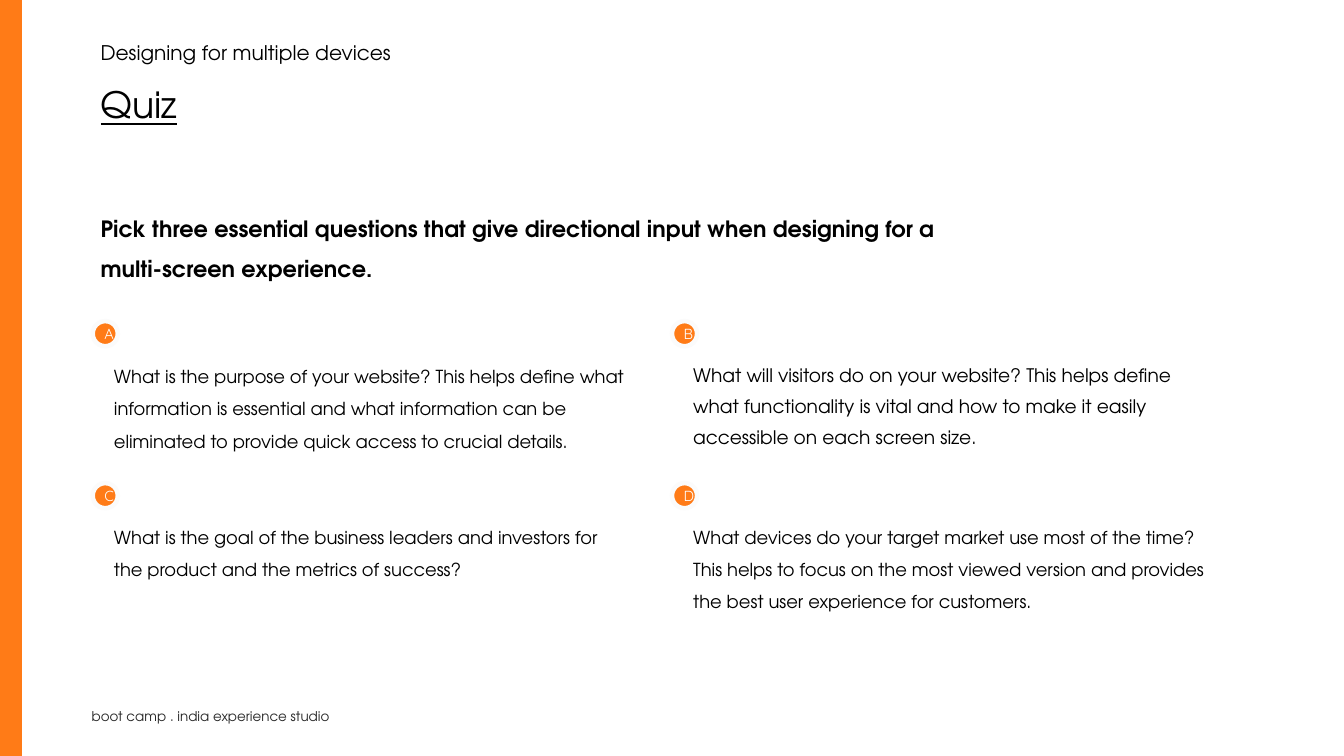
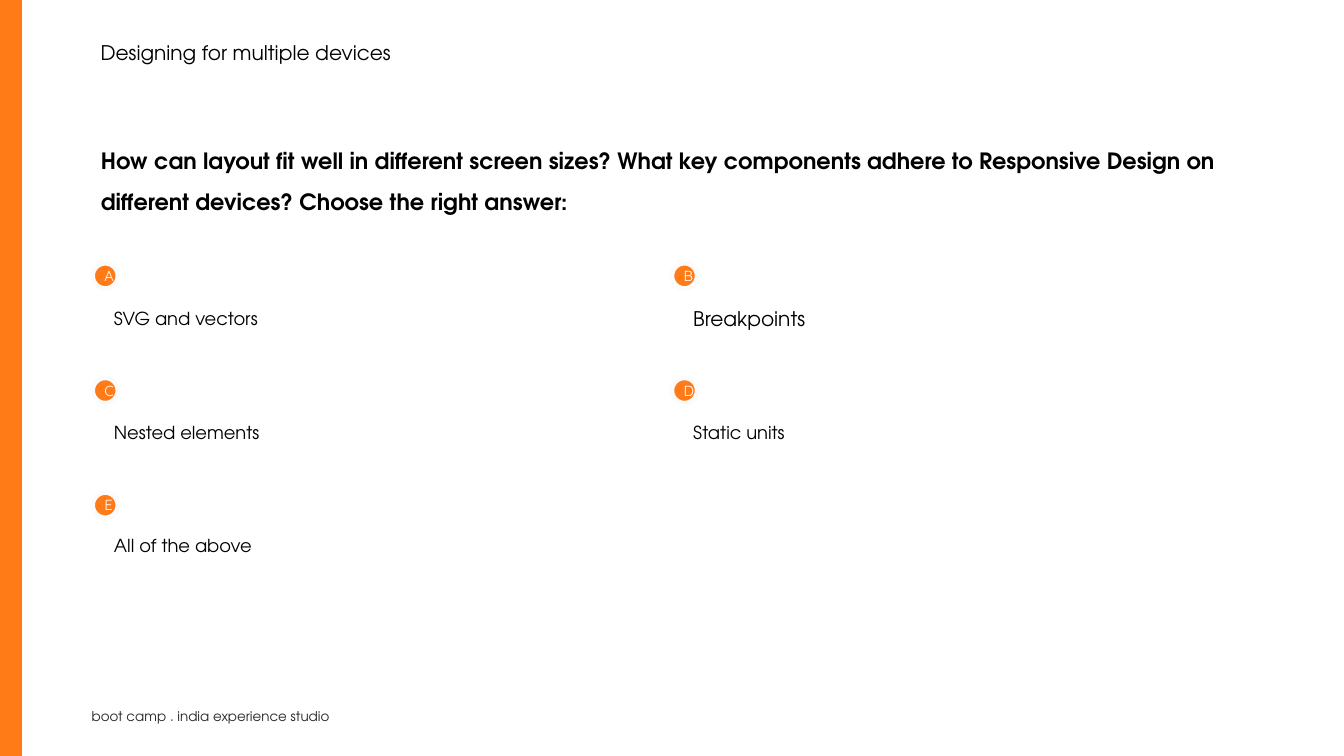
from dataclasses import dataclass

from pptx import Presentation
from pptx.dml.color import RGBColor
from pptx.enum.shapes import MSO_SHAPE as SHAPE
from pptx.enum.text import MSO_ANCHOR as ANCHOR, MSO_AUTO_SIZE as AUTO, PP_ALIGN as ALIGN
from pptx.util import Cm, Pt

# Shared style
ORANGE, WHITE, RING = "FF7B17", "FFFFFF", "FBFBFB"
BLACK, GREY = "000000", "262626"
FONT, BADGE_FONT = "TeX Gyre Adventor", "Quicksand"
WIDTH, HEIGHT = 42.32, 23.8
LEFT = 2.92
CONTENT_WIDTH = 36.5
COLUMN_PITCH = 18.24
CARD_WIDTH, ANSWER_WIDTH = 17.53, 16.69
BADGE_SIZE = 0.79


@dataclass
class Answer:
    text: str
    size: float = 16
    spacing: float = 1.5


@dataclass
class Grid:
    """Two columns of lettered answers; lengths in centimetres."""
    card_top: float
    card_pitch: float
    card_height: float
    badge_top: float
    badge_pitch: float
    answer_height: float
    anchor: ANCHOR
    answers: list[Answer]


def rgb(color: str) -> RGBColor:
    return RGBColor.from_string(color)


def write(sp, text: str, *, size: float, font: str = FONT, color: str = BLACK,
          bold: bool = False, underline: bool = False, spacing: float = 1.0,
          align=ALIGN.LEFT, anchor=ANCHOR.TOP):
    """Put one formatted paragraph into a shape."""
    tf = sp.text_frame
    tf.word_wrap = True
    tf.auto_size = AUTO.NONE
    tf.vertical_anchor = anchor
    p = tf.paragraphs[0]
    p.alignment, p.line_spacing, p.space_before = align, spacing, Pt(0)
    r = p.add_run()
    r.text = text
    f = r.font
    f.name, f.size, f.bold, f.underline = font, Pt(size), bold, underline
    f.color.rgb = rgb(color)
    return sp


def add_text(slide, x: float, y: float, w: float, h: float, text: str, **fmt):
    return write(slide.shapes.add_textbox(Cm(x), Cm(y), Cm(w), Cm(h)), text, **fmt)


def add_filled(slide, kind, x: float, y: float, w: float, h: float, fill: str,
               line: str | None = None):
    sp = slide.shapes.add_shape(kind, Cm(x), Cm(y), Cm(w), Cm(h))
    sp.shadow.inherit = False
    sp.fill.solid()
    sp.fill.fore_color.rgb = rgb(fill)
    if line:
        sp.line.color.rgb = rgb(line)
        sp.line.width = Pt(4)
    else:
        sp.line.fill.background()
    return sp


def set_title(slide, y: float, h: float, text: str, **fmt):
    sp = slide.shapes.title
    sp.left, sp.top, sp.width, sp.height = Cm(LEFT), Cm(y), Cm(CONTENT_WIDTH), Cm(h)
    write(sp, text, **fmt)


def add_slide(prs):
    """Title-only slide with the topic line."""
    slide = prs.slides.add_slide(prs.slide_layouts[5])
    add_text(slide, LEFT, 1.22, 15.95, 0.81, "Designing for multiple devices",
             size=18, spacing=0.9)
    return slide


def brand_master(prs, slide):
    """Draw the side band and footer, then move them to the slide master."""
    band = add_filled(slide, SHAPE.RECTANGLE, 0, 0, 0.69, HEIGHT, ORANGE)
    footer = add_text(slide, 2.64, 22.17, 21.18, 0.76,
                      "boot camp . india experience studio", size=12, color=GREY)
    for number, sp in enumerate((band, footer), 20):
        sp.element.nvSpPr.cNvPr.id = number
        prs.slide_master.shapes.element.append(sp.element)


def add_grid(slide, grid: Grid):
    badges = []
    margin_x = (CARD_WIDTH - ANSWER_WIDTH) / 2
    margin_y = (grid.card_height - grid.answer_height) / 2
    for i, answer in enumerate(grid.answers):
        row, col = divmod(i, 2)
        x = LEFT + col * COLUMN_PITCH
        y = grid.card_top + row * grid.card_pitch
        add_filled(slide, SHAPE.RECTANGLE, x, y, CARD_WIDTH, grid.card_height, WHITE)
        add_text(slide, x + margin_x, y + margin_y, ANSWER_WIDTH, grid.answer_height,
                 answer.text, size=answer.size, spacing=answer.spacing, anchor=grid.anchor)
        badges.append(("ABCDE"[i], x, grid.badge_top + row * grid.badge_pitch))
    # Badges sit above all cards
    for letter, x, y in badges:
        sp = add_filled(slide, SHAPE.OVAL, x, y, BADGE_SIZE, BADGE_SIZE, ORANGE, RING)
        write(sp, letter, size=13, font=BADGE_FONT, color=WHITE,
              align=ALIGN.CENTER, anchor=ANCHOR.MIDDLE)


QUESTION = dict(size=20, bold=True, spacing=1.5)

INPUT_GRID = Grid(10.57, 5.05, 4.29, 10.11, 5.1, 3.33, ANCHOR.TOP, [
    Answer("What is the purpose of your website? This helps define what information is "
           "essential and what information can be eliminated to provide quick access to "
           "crucial details."),
    Answer("What will visitors do on your website? This helps define what functionality "
           "is vital and how to make it easily accessible on each screen size.", 16.6, 1.4),
    Answer("What is the goal of the business leaders and investors for the product and "
           "the metrics of success?"),
    Answer("What devices do your target market use most of the time? This helps to focus "
           "on the most viewed version and provides the best user experience for "
           "customers."),
])

LAYOUT_GRID = Grid(8.76, 3.57, 2.64, 8.29, 3.61, 1.4, ANCHOR.MIDDLE, [
    Answer("SVG and vectors", spacing=0.9),
    Answer("Breakpoints", 18, 0.9),
    Answer("Nested elements", spacing=0.9),
    Answer("Static units", spacing=0.9),
    Answer("All of the above", spacing=0.9),
])


def main():
    prs = Presentation()
    prs.slide_width, prs.slide_height = Cm(WIDTH), Cm(HEIGHT)

    # Slide 1: essential questions
    slide = add_slide(prs)
    brand_master(prs, slide)
    set_title(slide, 2.62, 2.79, "Quiz", size=32.4, underline=True, spacing=0.9)
    add_text(slide, LEFT, 6.22, 28.27, 2.79,
             "Pick three essential questions that give directional input when designing "
             "for a multi-screen experience.", **QUESTION)
    add_grid(slide, INPUT_GRID)

    # Slide 2: responsive components
    slide = add_slide(prs)
    set_title(slide, 4.09, 3, "How can layout fit well in different screen sizes? What key "
              "components adhere to Responsive Design on different devices? Choose the "
              "right answer:", **QUESTION)
    add_grid(slide, LAYOUT_GRID)

    prs.save("out.pptx")


if __name__ == "__main__":
    main()
